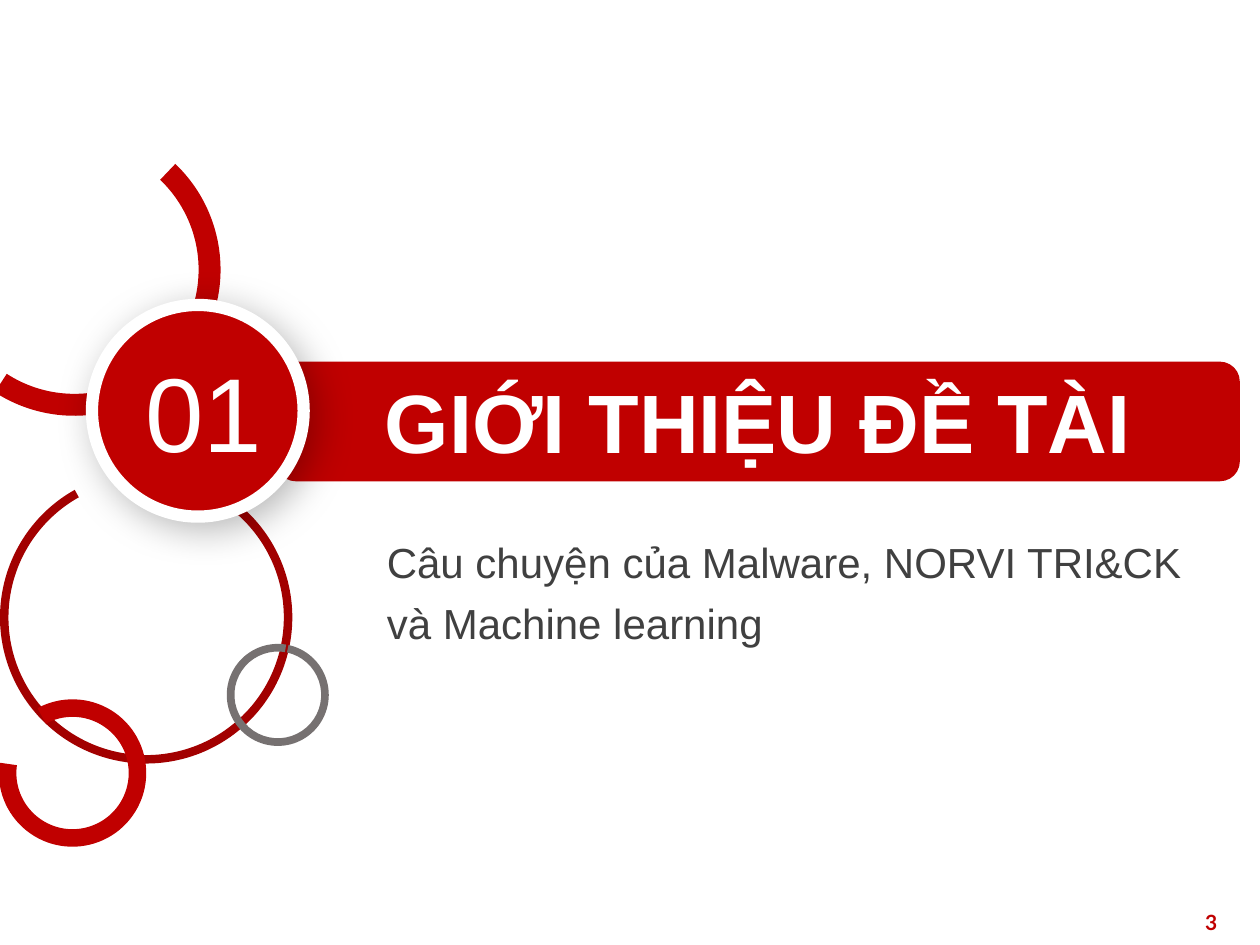
import pptx
import pptx.dml.color
import pptx.enum.shapes
import pptx.enum.text
import pptx.oxml
import pptx.oxml.ns
import pptx.util

Inches = pptx.util.Inches
SHAPE = pptx.enum.shapes.MSO_SHAPE
ALIGN = pptx.enum.text.PP_ALIGN
ANCHOR = pptx.enum.text.MSO_ANCHOR

COLORS = {"red": "C00000", "dark red": "A20000", "gray": "767171",
          "text": "404040", "white": "FFFFFF"}

# Content
TITLE = "GIỚI THIỆU ĐỀ TÀI"
SUBTITLE = ["Câu chuyện của Malware, NORVI TRI&CK", "và Machine learning"]
SECTION = "01"
PAGE_NUMBER = "3"

# Decorative arcs: left, top, diameter, rotation, adjustments, colour
ARCS = [
    (-0.57, 0.98, 2.32, 125, (113.21, 214.78, 0.075), "red"),
    (0, 3.74, 2.32, 219.9, (26.04, 12.5, 0.029), "dark red"),
    (1.8, 5.11, 0.81, 281.5, (0.38, 214.78, 0.075), "gray"),
    (-0.01, 5.55, 1.17, 128.9, (67.65, 35.48, 0.119), "red"),
]

SHADOW = (
    '<a:effectLst %s><a:outerShdw blurRad="%d" dist="%d" dir="%d" algn="tl" '
    'rotWithShape="0"><a:srgbClr val="000000"><a:alpha val="28000"/></a:srgbClr>'
    '</a:outerShdw></a:effectLst>'
    % (pptx.oxml.ns.nsdecls("a"), pptx.util.Pt(22), pptx.util.Pt(6), 45 * 60000)
)


def rgb(name):
    return pptx.dml.color.RGBColor.from_string(COLORS[name])


def add_filled(shapes, kind, place, color):
    shape = shapes.add_shape(kind, *map(Inches, place))
    shape.shadow.inherit = False
    shape.fill.solid()
    shape.fill.fore_color.rgb = rgb(color)
    shape.line.fill.background()
    return shape


def write(box, lines, size, color, font="Arial", bold=False,
          align=ALIGN.LEFT, spacing=1.0, anchor=ANCHOR.TOP):
    frame = box.text_frame
    frame.word_wrap = True
    frame.auto_size = pptx.enum.text.MSO_AUTO_SIZE.NONE
    frame.vertical_anchor = anchor
    for index, line in enumerate(lines):
        para = frame.add_paragraph() if index else frame.paragraphs[0]
        para.alignment = align
        para.line_spacing = spacing
        span = para.add_run()
        span.text = line
        span.font.name = font
        span.font.size = pptx.util.Pt(size)
        span.font.bold = bold
        span.font.color.rgb = rgb(color)


def add_text(shapes, place, lines, size, color, inset=(0.1, 0.05), **style):
    box = shapes.add_textbox(*map(Inches, place))
    frame = box.text_frame
    frame.margin_left = frame.margin_right = Inches(inset[0])
    frame.margin_top = frame.margin_bottom = Inches(inset[1])
    write(box, lines, size, color, **style)


def main():
    deck = pptx.Presentation()
    deck.slide_width, deck.slide_height = Inches(10), Inches(7.5)
    page = deck.slides.add_slide(deck.slide_layouts[5])
    shapes = page.shapes

    # Title bar and page number
    add_filled(shapes, SHAPE.ROUNDED_RECTANGLE, (2.19, 2.87, 7.65, 0.95), "red")
    add_text(shapes, (7.51, 7.17, 2.25, 0.4), [PAGE_NUMBER], 12, "red",
             font="Lato", bold=True, align=ALIGN.RIGHT)

    # Arcs
    for left, top, size, rotation, adjustments, color in ARCS:
        arc = add_filled(shapes, SHAPE.BLOCK_ARC, (left, top, size, size), color)
        arc.rotation = rotation
        for index, value in enumerate(adjustments):
            arc.adjustments[index] = value

    # Subtitle
    add_text(shapes, (2.96, 4.12, 6.88, 1.05), SUBTITLE, 24, "text",
             inset=(0.11, 0.06), spacing=1.2)

    # Section badge
    badge = shapes.add_group_shape()
    circle = add_filled(badge.shapes, SHAPE.OVAL, (0.73, 2.42, 1.68, 1.68), "red")
    circle.line.color.rgb = rgb("white")
    circle.line.width = pptx.util.Pt(7)
    properties = circle.element.spPr
    properties.replace(properties.find(pptx.oxml.ns.qn("a:effectLst")),
                       pptx.oxml.parse_xml(SHADOW))
    add_text(badge.shapes, (0.98, 2.7, 1.27, 1.12), [SECTION], 60, "white",
             inset=(0.11, 0.06), align=ALIGN.CENTER)

    # Title, brought in front of its bar
    title = shapes.title
    title.left, title.top, title.width, title.height = map(
        Inches, (2.19, 2.89, 7.65, 0.9))
    write(title, [TITLE], 47.3, "white", bold=True, align=ALIGN.CENTER,
          anchor=ANCHOR.MIDDLE)
    shapes.element.append(title.element)

    deck.save("out.pptx")


if __name__ == "__main__":
    main()
